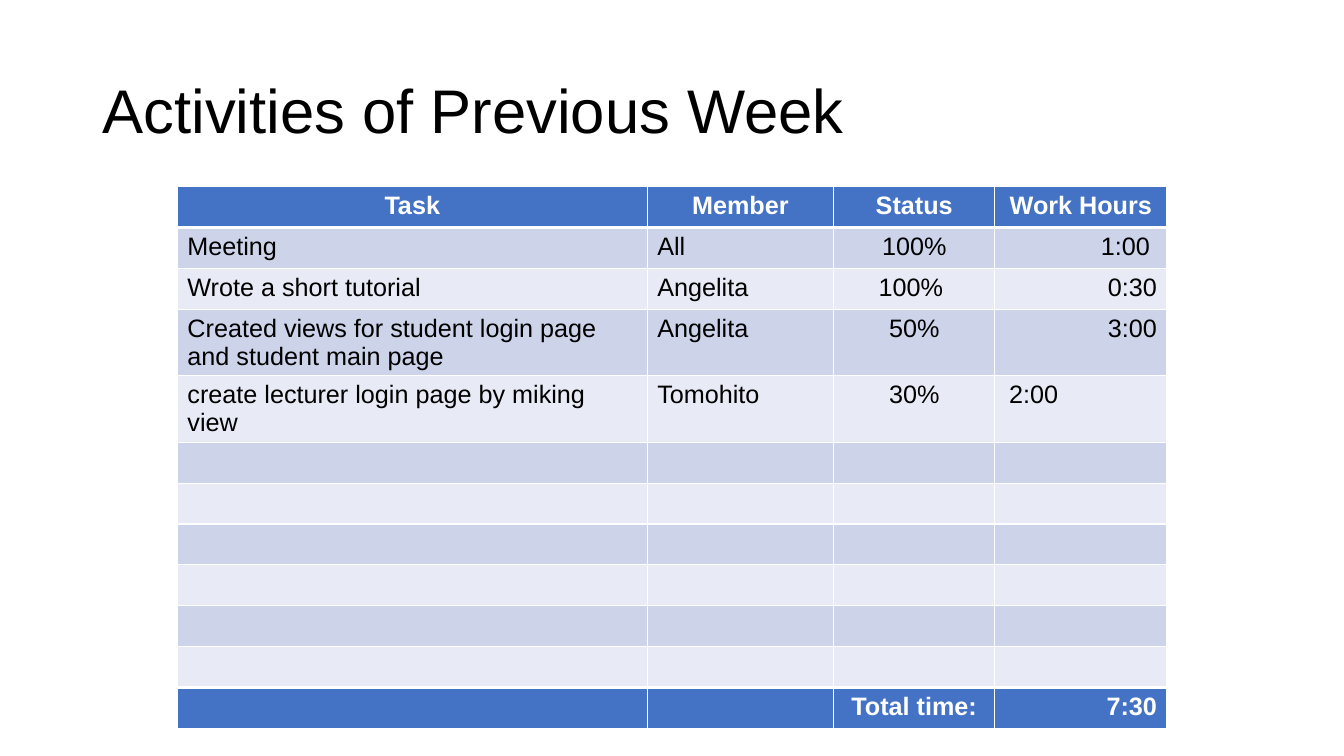
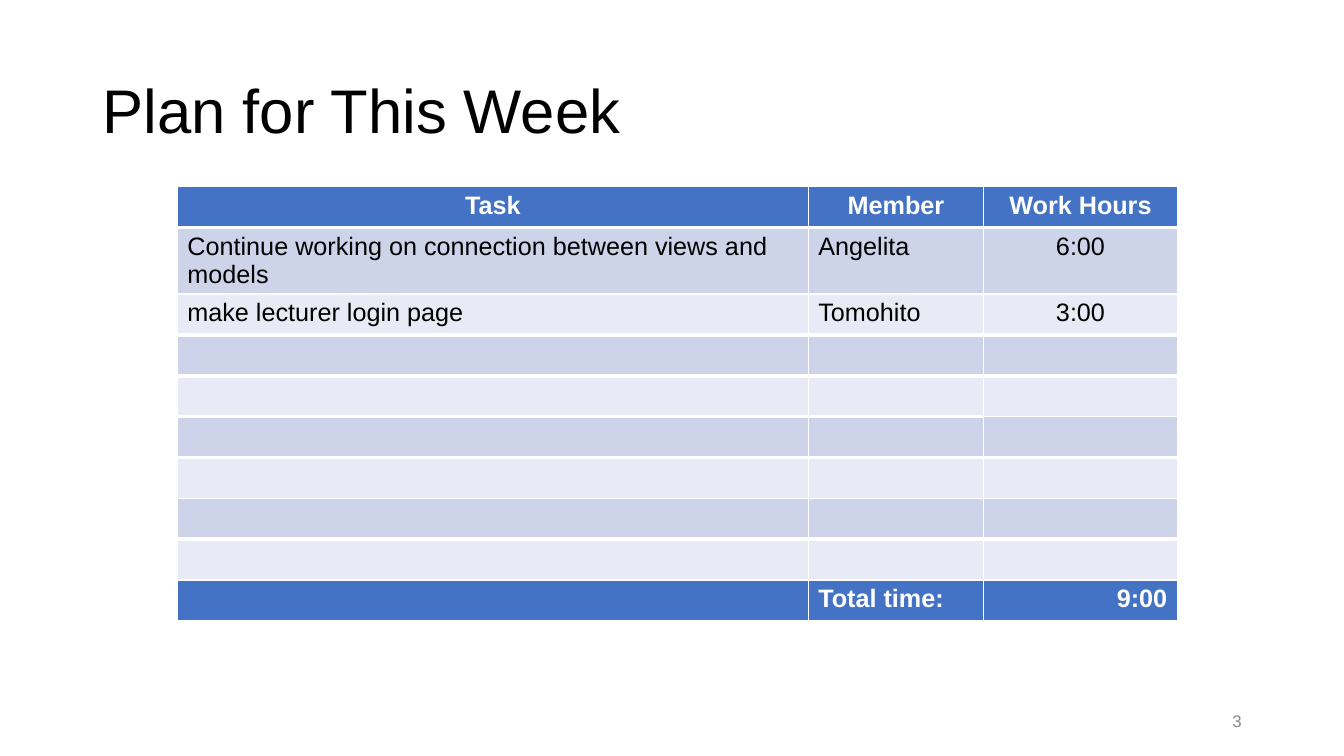
from dataclasses import dataclass
from typing import Any

from pptx import Presentation
from pptx.dml.color import RGBColor
from pptx.enum.text import MSO_AUTO_SIZE as Fit, MSO_ANCHOR as Anchor, PP_ALIGN as Align
from pptx.oxml.ns import qn
from pptx.util import Cm, Pt
from lxml.etree import SubElement as Sub

FONT = "Arial"
BLACK, WHITE, GREY = "000000", "FFFFFF", "888888"
BLUE, BANDS = "4472C4", ("CDD4EA", "E8EBF5")
SIDES = {"l": Align.LEFT, "c": Align.CENTER, "r": Align.RIGHT}
LEFT, TOP, ROW = 4.47, 4.7, 1.03
TITLE = {"size": Pt(44), "bold": False}
HEAD = {"size": Pt(18), "bold": True}
BODY = {"size": Pt(18), "bold": False}
NOTE = {"size": Pt(12), "bold": False}
FRAME = {"word_wrap": True, "auto_size": Fit.NONE, "vertical_anchor": Anchor.MIDDLE}


@dataclass
class Sheet:
    title: str
    cols: list[float]
    sides: str
    ends: str
    head: list[str]
    tasks: list[list[str]]
    blanks: int
    total: list[str]
    thick: set[int]
    thin: tuple[int, int] | None = None
    shift: tuple[int, int] | None = None
    page: str = ""


SHEETS = [
    Sheet(
        title="Activities of Previous Week",
        cols=[11.84, 4.7, 4.06, 4.34],
        sides="llcr",
        ends="llcr",
        head=["Task", "Member", "Status", "Work Hours"],
        tasks=[
            ["Meeting", "All", "100%", "1:00 "],
            ["Wrote a short tutorial", "Angelita", "100% ", "0:30"],
            ["Created views for student login page and student main page",
             "Angelita", "50%", "3:00"],
            ["create lecturer login page by miking view", "Tomohito", "30%", "2:00"],
        ],
        blanks=6,
        total=["", "", "Total time:", "7:30"],
        thick={1, 11},
        shift=(4, 3),
    ),
    Sheet(
        title="Plan for This Week",
        cols=[15.9, 4.42, 4.88],
        sides="llc",
        ends="llr",
        head=["Task", "Member", "Work Hours"],
        tasks=[
            ["Continue working on connection between views and models", "Angelita", "6:00"],
            ["make lecturer login page", "Tomohito", "3:00"],
        ],
        blanks=6,
        total=["", "Total time:", "9:00"],
        thick={1, 3, 4, 5, 6, 8},
        thin=(5, 2),
        page="3",
    ),
]


def tint(code: str) -> RGBColor:
    return RGBColor.from_string(code)


def apply(item: Any, form: dict[str, Any]) -> None:
    for key, value in form.items():
        setattr(item, key, value)


def write(frame: Any, text: str, form: dict[str, Any], color: str, side: str) -> None:
    para = frame.paragraphs[0]
    para.alignment = SIDES[side]
    if text:
        run = para.add_run()
        run.text = text
        apply(run.font, {"name": FONT, **form})
        run.font.color.rgb = tint(color)


def place(shape: Any, left: float, top: float, width: float, height: float) -> None:
    apply(shape, {"left": Cm(left), "top": Cm(top), "width": Cm(width), "height": Cm(height)})
    apply(shape.text_frame, FRAME)


def edge(cell: Any, top: int, base: int) -> None:
    props = cell._tc.get_or_add_tcPr()
    for tag, width in {"lnL": 1, "lnR": 1, "lnT": top, "lnB": base}.items():
        line = Sub(props, qn(f"a:{tag}"), w=str(Pt(width)))
        fill = Sub(line, qn("a:solidFill"))
        Sub(fill, qn("a:srgbClr"), val=WHITE)


def grid(slide: Any, sheet: Sheet) -> None:
    blank = [[""] * len(sheet.cols)] * sheet.blanks
    rows = [sheet.head, *sheet.tasks, *blank, sheet.total]
    last = len(rows) - 1
    table = slide.shapes.add_table(
        len(rows), len(sheet.cols), Cm(LEFT), Cm(TOP),
        Cm(sum(sheet.cols)), Cm(ROW * len(rows))).table
    apply(table, {"first_row": False, "horz_banding": False})
    for col, width in zip(table.columns, sheet.cols):
        col.width = Cm(width)

    def weight(line: int, col: int) -> int:
        return 3 if line in sheet.thick and (line, col) != sheet.thin else 1

    for r, row in enumerate(rows):
        table.rows[r].height = Cm(ROW)
        bold = r in (0, last)
        sides = "c" * len(row) if r == 0 else sheet.ends if r == last else sheet.sides
        for c, text in enumerate(row):
            cell = table.cell(r, c)
            edge(cell, weight(r, c), weight(r + 1, c))
            cell.fill.solid()
            cell.fill.fore_color.rgb = tint(BLUE if bold else BANDS[(r - 1) % 2])
            side = sides[c]
            if (r, c) == sheet.shift:
                side = "l"
                cell.margin_left = Cm(0.36)
            write(cell.text_frame, text, HEAD if bold else BODY,
                  WHITE if bold else BLACK, side)


def draw(deck: Any, sheet: Sheet) -> None:
    slide = deck.slides.add_slide(deck.slide_layouts[5])
    title = slide.shapes.title
    place(title, 2.33, 1.01, 29.21, 3.68)
    write(title.text_frame, sheet.title, TITLE, BLACK, "l")
    title.text_frame.paragraphs[0].line_spacing = 0.9
    grid(slide, sheet)
    if sheet.page:
        note = slide.shapes.add_textbox(0, 0, 0, 0)
        place(note, 23.92, 17.66, 7.62, 1.01)
        write(note.text_frame, sheet.page, NOTE, GREY, "r")


def main() -> None:
    deck = Presentation()
    apply(deck, {"slide_width": Cm(33.87), "slide_height": Cm(19.05)})
    for sheet in SHEETS:
        draw(deck, sheet)
    deck.save("out.pptx")


if __name__ == "__main__":
    main()
